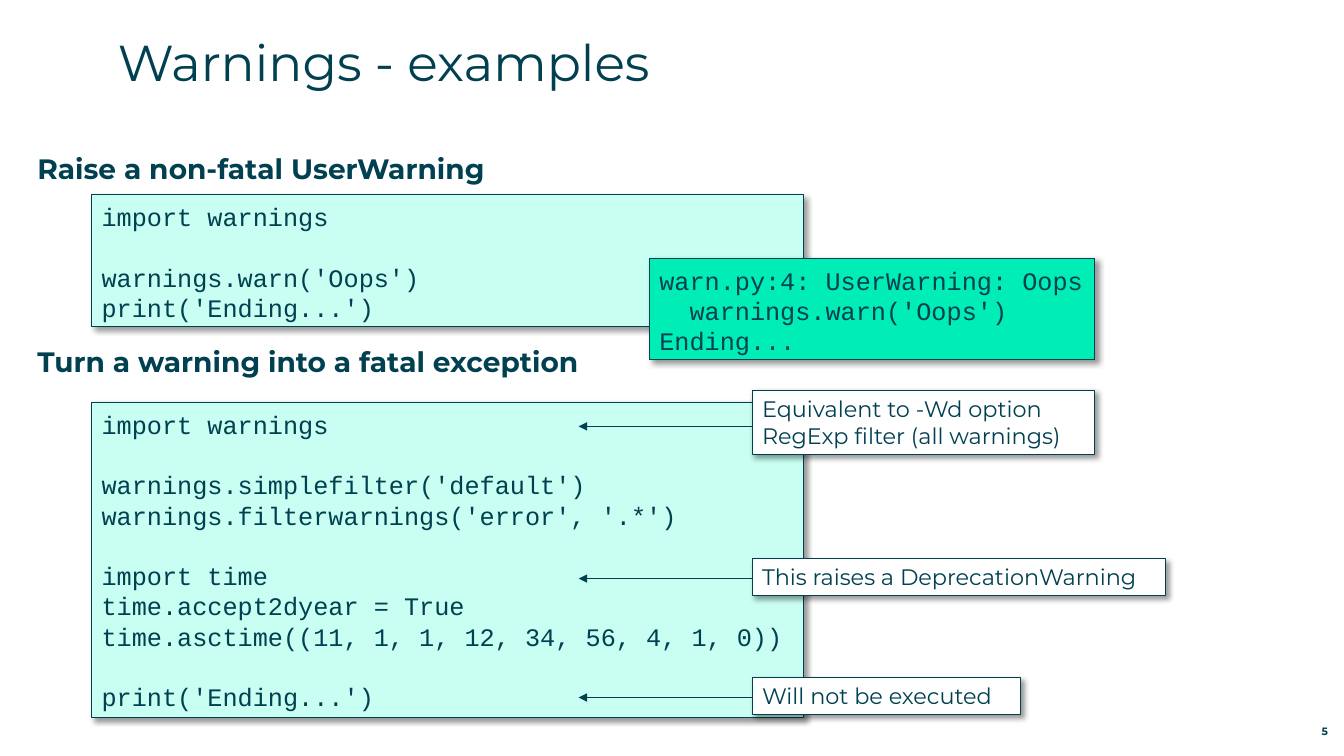
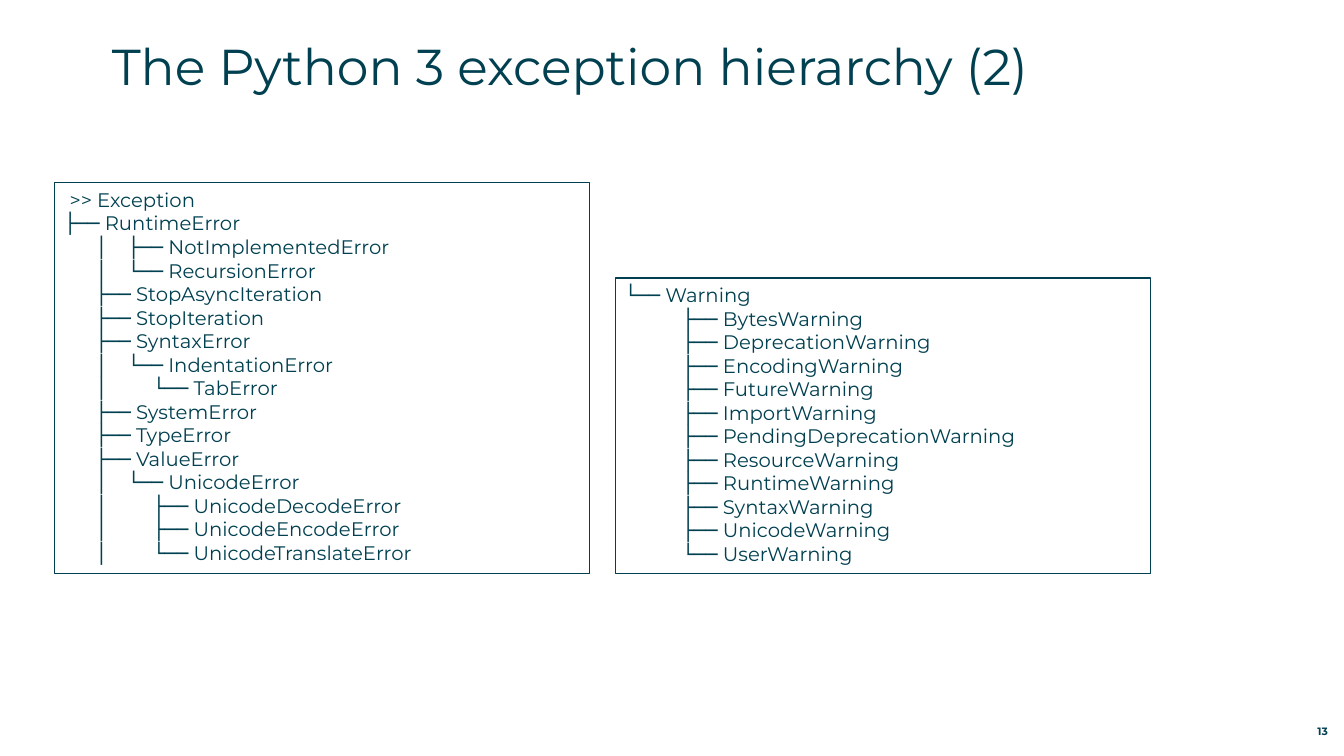
from dataclasses import dataclass

from lxml import etree
from pptx import Presentation
from pptx import util as u
from pptx.dml.color import RGBColor
from pptx.enum import shapes, text
from pptx.oxml import ns

CELL = u.Inches(0.1)  # the slide is a grid of square cells
COLUMNS, ROWS = 133.3, 75


@dataclass(frozen=True)
class TextStyle:
    font: str
    size: float
    bold: bool = False
    row: float = 0  # height of one line, in cells
    leading: float = 0  # exact line spacing, in points


class Theme:
    ink = RGBColor.from_string("004050")
    paper = RGBColor.from_string("FFFFFF")
    code_fill = RGBColor.from_string("C8FFF2")
    output_fill = RGBColor.from_string("00EDB5")
    rule = u.Pt(0.75)
    padding = 1
    title = TextStyle("Montserrat", 36)
    heading = TextStyle("Montserrat", 20, bold=True)
    code = TextStyle("Courier New", 18, row=3.03, leading=21.6)
    note = TextStyle("Montserrat", 16, row=2.7)
    tree = TextStyle("Montserrat", 14, row=2.36)
    page_number = TextStyle("Montserrat", 7.6, bold=True)


@dataclass(frozen=True)
class Box:
    left: float
    top: float
    width: float
    height: float

    def inside(self, left, top, width, height):
        return Box(self.left + left, self.top + top, width, height)

    def emu(self):
        return [cells(n) for n in (self.left, self.top, self.width, self.height)]


SLIDE = Box(0, 0, COLUMNS, ROWS)


def cells(count):
    return u.Emu(round(count * CELL))


def add_xml(parent, tag, **attributes):
    return etree.SubElement(parent, ns.qn(tag), attributes)


def set_tabs(paragraph, stops):
    tab_list = add_xml(paragraph._p.get_or_add_pPr(), "a:tabLst")
    for stop in stops:
        add_xml(tab_list, "a:tab", pos=str(cells(stop)), algn="l")


def write(frame, lines, style, align=text.PP_ALIGN.LEFT, tabs=()):
    """Fill a frame with one paragraph a line; an empty line becomes space."""
    frame.word_wrap = True
    gap, paragraph = 0, frame.paragraphs[0]
    for index, line in enumerate(lines):
        if not line:
            gap += style.leading
            continue
        if index:
            paragraph = frame.add_paragraph()
        paragraph.text = line
        paragraph.alignment = align
        paragraph.font.name = style.font
        paragraph.font.size = u.Pt(style.size)
        paragraph.font.bold = style.bold
        paragraph.font.color.rgb = Theme.ink
        if style.leading:
            paragraph.line_spacing = u.Pt(style.leading)
        if gap:
            paragraph.space_before = u.Pt(gap)
            gap = 0
        if tabs:
            set_tabs(paragraph, tabs)


def add_label(slide, box, line, style, align=text.PP_ALIGN.LEFT,
              anchor=text.MSO_ANCHOR.TOP):
    frame = slide.shapes.add_textbox(*box.emu()).text_frame
    frame.margin_left = frame.margin_right = 0
    frame.margin_top = frame.margin_bottom = 0
    frame.vertical_anchor = anchor
    write(frame, [line], style, align)


def panel_height(lines, style):
    return len(lines) * style.row + Theme.padding


def add_shadow(panel):
    effects = panel._element.spPr.find(ns.qn("a:effectLst"))
    shadow = add_xml(effects, "a:outerShdw", blurRad=str(u.Pt(4)),
                     dist=str(u.Pt(3)), dir="2700000", algn="tl", rotWithShape="0")
    add_xml(add_xml(shadow, "a:srgbClr", val="000000"), "a:alpha", val="40000")


def add_panel(slide, box, lines, style, fill=None, tabs=()):
    """Draw an outlined panel; a filled one casts a shadow."""
    panel = slide.shapes.add_shape(shapes.MSO_SHAPE.RECTANGLE, *box.emu())
    panel.shadow.inherit = False
    panel.line.color.rgb = Theme.ink
    panel.line.width = Theme.rule
    if fill is None:
        panel.fill.background()
    else:
        panel.fill.solid()
        panel.fill.fore_color.rgb = fill
        add_shadow(panel)
    frame = panel.text_frame
    frame.vertical_anchor = text.MSO_ANCHOR.TOP
    if style.leading:
        frame.margin_top = u.Inches(0.07)
    write(frame, lines, style, tabs=tabs)


def add_arrow(slide, start, end, row):
    arrow = slide.shapes.add_connector(
        shapes.MSO_CONNECTOR.STRAIGHT,
        cells(start), cells(row), cells(end), cells(row))
    arrow.line.color.rgb = Theme.ink
    arrow.line.width = Theme.rule
    add_xml(arrow.line._get_or_add_ln(), "a:tailEnd", type="triangle")
    add_xml(arrow._element.spPr, "a:effectLst")


def add_frame_slide(deck, title, title_left, title_top, number):
    """Start a slide with its title and page number."""
    slide = deck.slides.add_slide(deck.slide_layouts[6])
    slide.background.fill.solid()
    slide.background.fill.fore_color.rgb = Theme.paper
    add_label(slide, SLIDE.inside(title_left, title_top, 120, 8.8), title, Theme.title)
    add_label(slide, SLIDE.inside(123.1, 71.2, 8.6, 2), str(number),
              Theme.page_number, text.PP_ALIGN.RIGHT, text.MSO_ANCHOR.BOTTOM)
    return slide


def add_section(slide, box, heading, code, code_top):
    """Place a heading and, indented below it, its code listing."""
    add_label(slide, box.inside(0, 0, box.width, 4), heading, Theme.heading)
    listing = box.inside(5.4, code_top, 70.6, panel_height(code, Theme.code))
    add_panel(slide, listing, code, Theme.code, Theme.code_fill)


def add_callout(slide, box, note, width, top, arrow_drop):
    """Place a note over the right edge of a section, pointing into its code."""
    place = box.inside(70.9, top, width, panel_height(note, Theme.note))
    add_panel(slide, place, note, Theme.note, Theme.paper)
    add_arrow(slide, place.left, place.left - 17.2, place.top + arrow_drop)


def add_tree(slide, box, lines, tabs):
    """Stand a tree of class names on the bottom edge of the box."""
    height = panel_height(lines, Theme.tree)
    place = box.inside(0, box.height - height, box.width, height)
    add_panel(slide, place, lines, Theme.tree, tabs=tabs)


WARN_CODE = ["import warnings", "", "warnings.warn('Oops')", "print('Ending...')"]
WARN_OUTPUT = ["warn.py:4: UserWarning: Oops", "\twarnings.warn('Oops')", "Ending..."]
FATAL_CODE = [
    "import warnings",
    "",
    "warnings.simplefilter('default')",
    "warnings.filterwarnings('error', '.*')",
    "",
    "import time",
    "time.accept2dyear = True",
    "time.asctime((11, 1, 1, 12, 34, 56, 4, 1, 0))",
    "",
    "print('Ending...')",
]
CALLOUTS = [  # note, width, top, arrow drop
    (["Equivalent to -Wd option", "RegExp filter (all warnings)"], 34, 4.5, 3.6),
    (["This raises a DeprecationWarning"], 41, 21.2, 2),
    (["Will not be executed"], 26.6, 33, 2),
]
EXCEPTIONS = [
    " >> Exception",
    "├── RuntimeError",
    "\t│\t├── NotImplementedError",
    "\t│\t└── RecursionError",
    "\t├── StopAsyncIteration",
    "\t├── StopIteration",
    "\t├── SyntaxError",
    "\t│\t└── IndentationError",
    "\t│\t\t└── TabError",
    "\t├── SystemError",
    "\t├── TypeError",
    "\t├── ValueError",
    "\t│\t└── UnicodeError",
    "\t│\t\t├── UnicodeDecodeError",
    "\t│\t\t├── UnicodeEncodeError",
    "\t│\t\t└── UnicodeTranslateError",
]
WARNING_KINDS = ["Bytes", "Deprecation", "Encoding", "Future", "Import",
                 "PendingDeprecation", "Resource", "Runtime", "Syntax", "Unicode"]
WARNINGS = ["└── Warning", *(f"\t├── {kind}Warning" for kind in WARNING_KINDS),
            "\t└── UserWarning"]


def add_examples_slide(deck):
    slide = add_frame_slide(deck, "Warnings - examples", 11.7, 3.1, 5)
    fatal = SLIDE.inside(3.7, 34.2, 125.9, 37)
    non_fatal = SLIDE.inside(3.7, 15, 125.9, 19.2)
    add_section(slide, fatal, "Turn a warning into a fatal exception", FATAL_CODE, 5.7)
    add_section(slide, non_fatal, "Raise a non-fatal UserWarning", WARN_CODE, 4.3)
    output = non_fatal.inside(60.7, 10.6, 44.2, panel_height(WARN_OUTPUT, Theme.code))
    add_panel(slide, output, WARN_OUTPUT, Theme.code, Theme.output_fill, tabs=[3])
    for callout in CALLOUTS:
        add_callout(slide, fatal, *callout)


def add_hierarchy_slide(deck):
    slide = add_frame_slide(deck, "The Python 3 exception hierarchy (2)", 11.1, 3.5, 13)
    trees = [(EXCEPTIONS, [3.1, 6.3, 8.8]), (WARNINGS, [5.7])]
    width, gap = 53.1, 2.5
    for column, (lines, tabs) in enumerate(trees):
        box = SLIDE.inside(5.4 + column * (width + gap), 18.1, width, 38.8)
        add_tree(slide, box, lines, tabs)


def main():
    deck = Presentation()
    deck.slide_width, deck.slide_height = cells(COLUMNS), cells(ROWS)
    add_examples_slide(deck)
    add_hierarchy_slide(deck)
    deck.save("out.pptx")


if __name__ == "__main__":
    main()
